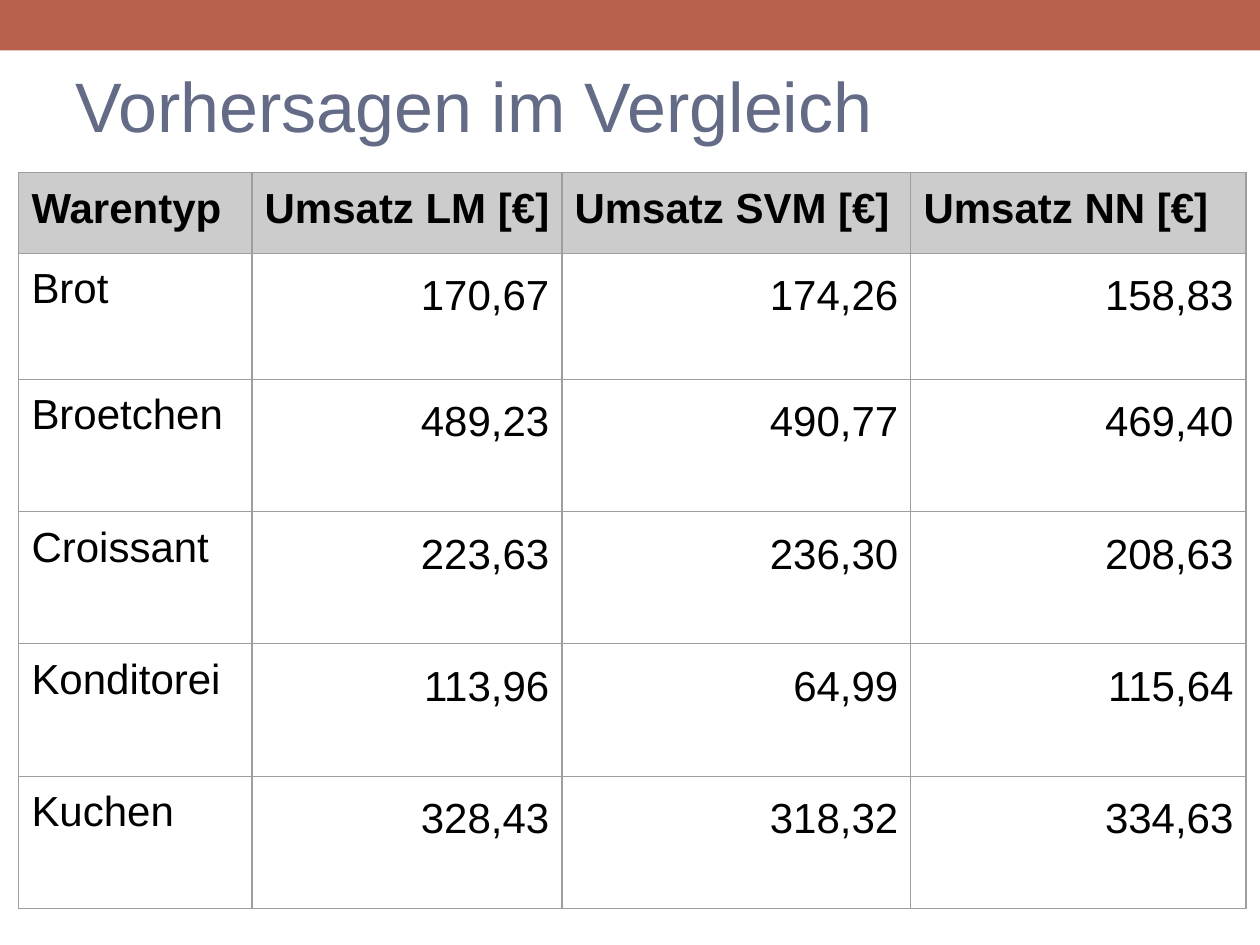
from dataclasses import dataclass

import lxml.etree
import pptx
import pptx.dml.color
import pptx.enum.shapes
import pptx.enum.text
import pptx.oxml.ns
import pptx.util

Inches, Pt = pptx.util.Inches, pptx.util.Pt
RGB = pptx.dml.color.RGBColor.from_string
PP_ALIGN = pptx.enum.text.PP_ALIGN
ANCHOR = pptx.enum.text.MSO_ANCHOR
qn = pptx.oxml.ns.qn


@dataclass(frozen=True)
class Theme:
    font: str = "Arial"
    bar: str = "B8604B"
    title: str = "646B86"
    text: str = "000000"
    header: str = "CCCCCC"
    border: str = "9E9E9E"
    title_size: int = 40
    table_size: int = 24
    border_width: float = 0.75


theme = Theme()


def add_text(p, text, size, color, bold=False):
    r = p.add_run()
    r.text = text
    formats = {"name": theme.font, "size": Pt(size), "bold": bold}
    for name, value in formats.items():
        setattr(r.font, name, value)
    r.font.color.rgb = RGB(color)


def add_borders(cell):
    """Draw all four edges; call before setting the cell's fill."""
    tc_pr = cell._tc.get_or_add_tcPr()
    for edge in ("a:lnL", "a:lnR", "a:lnT", "a:lnB"):
        ln = lxml.etree.SubElement(tc_pr, qn(edge), w=str(Pt(theme.border_width)))
        fill = lxml.etree.SubElement(ln, qn("a:solidFill"))
        lxml.etree.SubElement(fill, qn("a:srgbClr"), val=theme.border)


prs = pptx.Presentation()
prs.slide_width, prs.slide_height = Inches(10), Inches(7.5)
s = prs.slides.add_slide(prs.slide_layouts[6])

# Top bar
bar = s.shapes.add_shape(pptx.enum.shapes.MSO_SHAPE.RECTANGLE,
                         0, 0, prs.slide_width, Inches(0.4))
bar.shadow.inherit = False
bar.fill.solid()
bar.fill.fore_color.rgb = RGB(theme.bar)
bar.line.fill.background()

# Title
title = s.shapes.add_textbox(Inches(0.5), Inches(0.29), Inches(9), Inches(1.08))
tf = title.text_frame
tf.word_wrap = True
tf.vertical_anchor = ANCHOR.MIDDLE
add_text(tf.paragraphs[0], "Vorhersagen im Vergleich", theme.title_size, theme.title)

# Forecast table
rows = [
    ("Warentyp", "Umsatz LM [€]", "Umsatz SVM [€]", "Umsatz NN [€]"),
    ("Brot", "170,67", "174,26", "158,83"),
    ("Broetchen", "489,23", "490,77", "469,40"),
    ("Croissant", "223,63", "236,30", "208,63"),
    ("Konditorei", "113,96", "64,99", "115,64"),
    ("Kuchen", "328,43", "318,32", "334,63"),
]
col_widths = (1.85, 2.46, 2.77, 2.66)
row_heights = (0.64, 1, 1.05, 1.05, 1.05, 1.05)

table = s.shapes.add_table(len(rows), len(col_widths), Inches(0.15), Inches(1.37),
                           Inches(sum(col_widths)), Inches(sum(row_heights))).table
table.horz_banding = False
for column, width in zip(table.columns, col_widths):
    column.width = Inches(width)
for row, height in zip(table.rows, row_heights):
    row.height = Inches(height)

margins = ("margin_left", "margin_right", "margin_top", "margin_bottom")
for i, values in enumerate(rows):
    for j, value in enumerate(values):
        cell = table.cell(i, j)
        for margin in margins:
            setattr(cell, margin, Inches(0.1))
        cell.vertical_anchor = ANCHOR.TOP
        add_borders(cell)
        if i == 0:
            cell.fill.solid()
            cell.fill.fore_color.rgb = RGB(theme.header)
        else:
            cell.fill.background()
        p = cell.text_frame.paragraphs[0]
        if i > 0 and j > 0:
            p.alignment = PP_ALIGN.RIGHT
            p.line_spacing = 1.15
        add_text(p, value, theme.table_size, theme.text, bold=i == 0)

prs.save("out.pptx")
